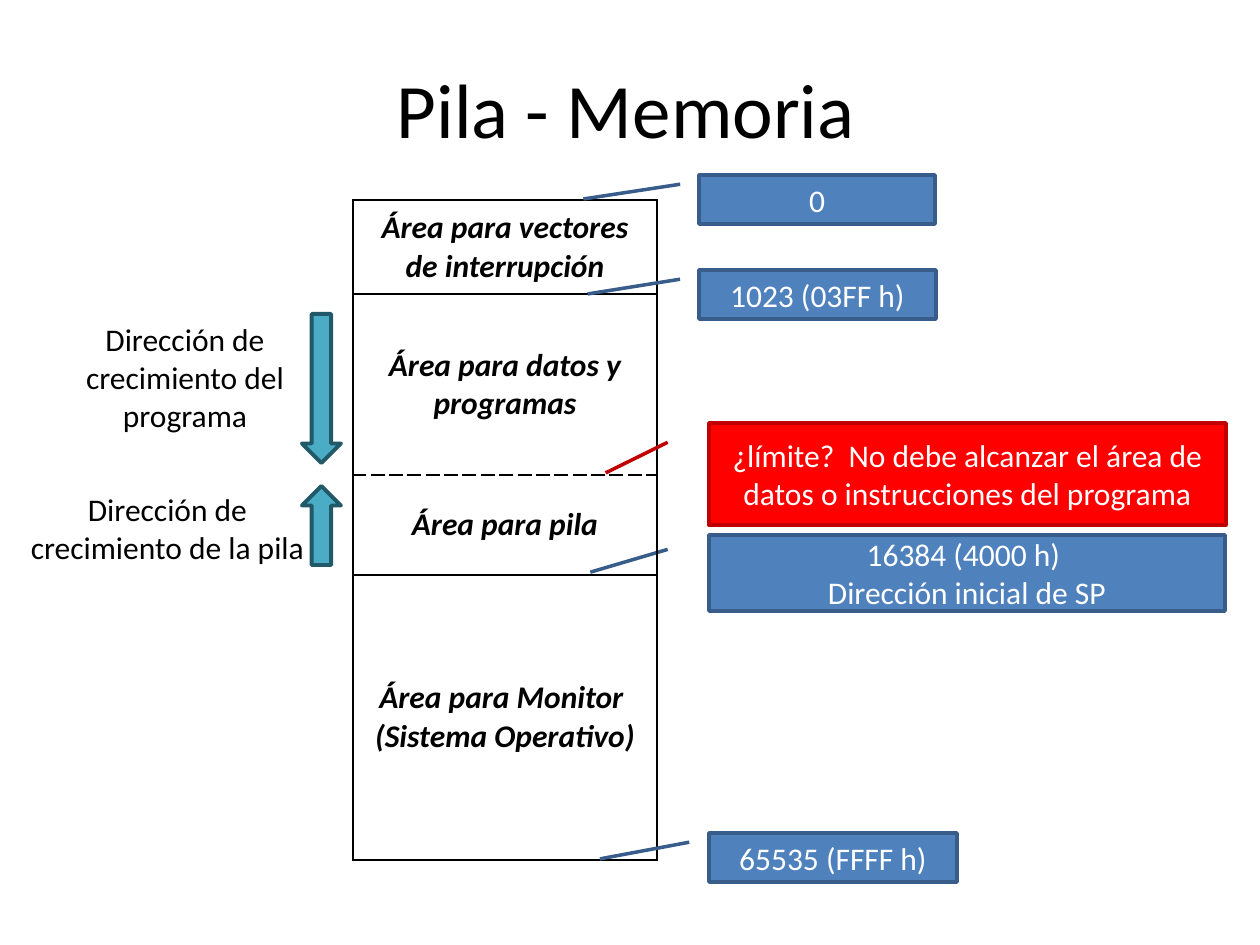
from lxml.etree import SubElement as Sub
from pptx import Presentation
from pptx.dml.color import RGBColor
from pptx.enum.shapes import MSO_SHAPE as Kind
from pptx.enum.text import MSO_ANCHOR as Anchor, PP_ALIGN as Align
from pptx.oxml.ns import qn
from pptx.util import Pt

SCALE = 914400 / 126
BLACK = RGBColor(0, 0, 0)
WHITE = RGBColor(255, 255, 255)
BLUE = RGBColor(0x4F, 0x81, 0xBD)
NAVY = RGBColor(0x38, 0x5D, 0x8A)
RED = RGBColor(0xFF, 0, 0)
DARK_RED = RGBColor(0xC0, 0, 0)
TEAL = RGBColor(0x4B, 0xAC, 0xC6)
DARK_TEAL = RGBColor(0x21, 0x59, 0x68)


def emu(*sizes):
    return [round(size * SCALE) for size in sizes]


def write(frame, text, size=18, color=BLACK, bold=False, italic=False):
    frame.word_wrap = True
    frame.vertical_anchor = Anchor.MIDDLE
    for i, line in enumerate(text.split("\n")):
        para = frame.paragraphs[0] if i == 0 else frame.add_paragraph()
        para.alignment = Align.CENTER
        run = para.add_run()
        run.text = line
        font = run.font
        font.name, font.size = "Calibri", Pt(size)
        font.bold, font.italic = bold, italic
        font.color.rgb = color


def label(slide, box, text, **style):
    write(slide.shapes.add_textbox(*emu(*box)).text_frame, text, **style)


def block(slide, kind, box, fill, edge, width):
    shape = slide.shapes.add_shape(kind, *emu(*box))
    shape.shadow.inherit = False
    shape.fill.solid()
    shape.fill.fore_color.rgb = fill
    shape.line.color.rgb = edge
    shape.line.width = Pt(width)
    return shape


def callout(slide, box, text, tip, fill=BLUE, edge=NAVY):
    shape = block(slide, Kind.LINE_CALLOUT_1, box, fill, edge, 2)
    for i, value in enumerate((0.19, -0.08, *tip)):
        shape.adjustments[i] = value
    write(shape.text_frame, text, color=WHITE)


def border(cell, side, width=1.08, dash="solid"):
    line = Sub(cell._tc.get_or_add_tcPr(), qn("a:" + side), w=str(Pt(width)))
    fill = Sub(line, qn("a:solidFill"))
    Sub(fill, qn("a:srgbClr"), val=str(BLACK))
    Sub(line, qn("a:prstDash"), val=dash)


def memory(slide, box, areas, split):
    frame = slide.shapes.add_table(len(areas), 1, *emu(*box))
    table = frame.table
    table.first_row = table.horz_banding = False
    for i, (high, text) in enumerate(areas):
        table.rows[i].height = emu(high)[0]
        cell = table.cell(i, 0)
        write(cell.text_frame, text, bold=True, italic=True)
        cell.vertical_anchor = Anchor.MIDDLE
        dashed = {"lnB": split - 1, "lnT": split}
        for side in ("lnL", "lnR", "lnT", "lnB"):
            if dashed.get(side) == i:
                border(cell, side, 1.47, "dash")
            else:
                border(cell, side)
        cell.fill.background()


def growth(slide, box, text, kind, arrow):
    left, top, _, _ = box
    label(slide, box, text)
    dx, dy, wide, high = arrow
    block(slide, kind, (left + dx, top + dy, wide, high), TEAL, DARK_TEAL, 2.25)


def build():
    deck = Presentation()
    deck.slide_width, deck.slide_height = emu(1260, 945)
    slide = deck.slides.add_slide(deck.slide_layouts[6])

    callout(slide, (709, 535, 516, 76),
            "16384 (4000 h) \nDirección inicial de SP", (0.49, -0.23))
    label(slide, (59, 29, 1134, 158), "Pila - Memoria", size=44)
    memory(slide, (353, 200, 304, 660), [
        (94, "Área para vectores de interrupción"),
        (181, "Área para datos y programas"),
        (100, "Área para pila"),
        (285, "Área para Monitor \n(Sistema Operativo)"),
    ], split=2)
    for box, text, tip in (
        ((699, 175, 236, 49), "0", (0.49, -0.49)),
        ((699, 270, 237, 49), "1023 (03FF h)", (0.49, -0.47)),
        ((709, 833, 248, 49), "65535 (FFFF h)", (0.53, -0.44)),
    ):
        callout(slide, box, text, tip)
    callout(slide, (709, 423, 517, 102),
            "¿límite?  No debe alcanzar el área de datos o instrucciones "
            "del programa", (0.49, -0.2), RED, DARK_RED)
    growth(slide, (6, 484, 323, 88), "Dirección de crecimiento de la pila",
           Kind.UP_ARROW, (296, 2, 39, 79))
    growth(slide, (44, 314, 282, 126), "Dirección de crecimiento del programa",
           Kind.DOWN_ARROW, (258, 0, 39, 149))
    deck.save("out.pptx")


build()
